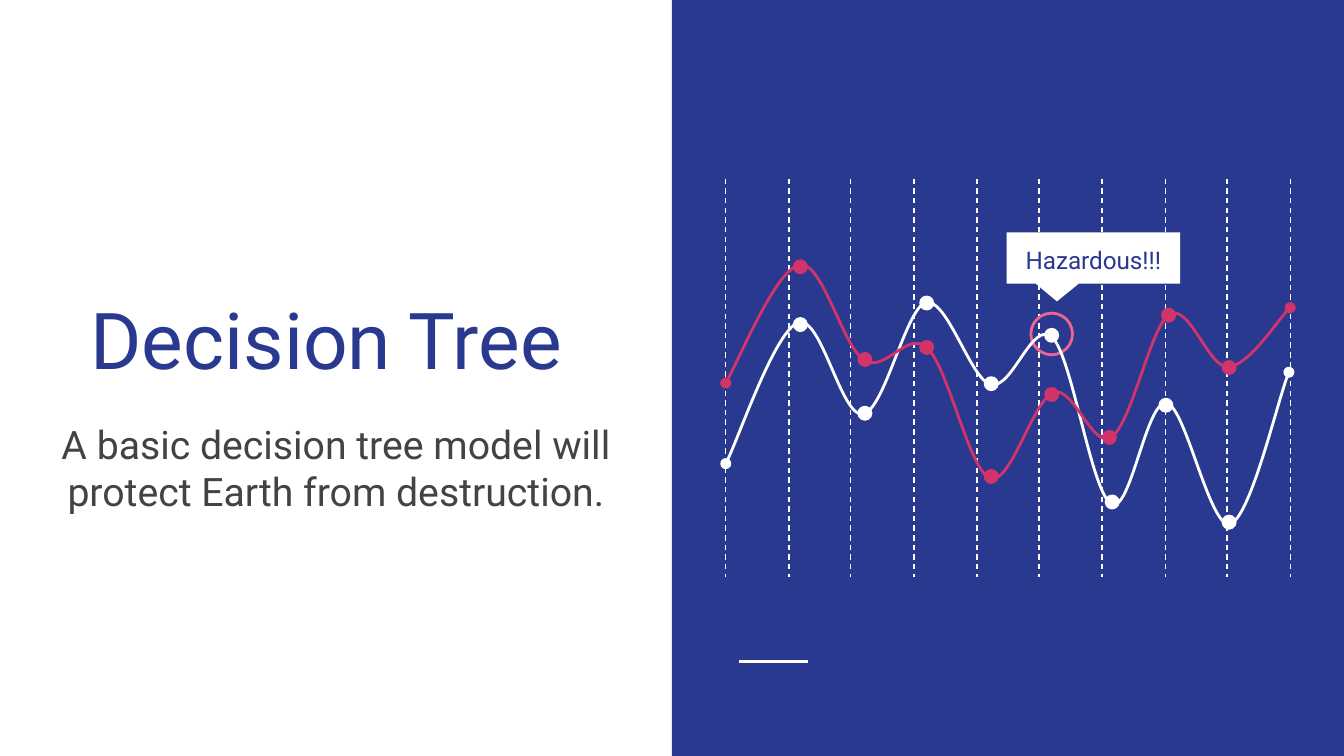
import lxml.etree
import pptx
import pptx.dml.color
import pptx.enum.dml
import pptx.enum.shapes
import pptx.enum.text
import pptx.oxml.ns
import pptx.util

PX = 9144
NAVY = pptx.dml.color.RGBColor(0x2A, 0x39, 0x90)
WHITE = pptx.dml.color.RGBColor(0xFF, 0xFF, 0xFF)
CRIMSON = pptx.dml.color.RGBColor(0xD2, 0x33, 0x69)
PINK = pptx.dml.color.RGBColor(0xF0, 0x62, 0x92)
GREY = pptx.dml.color.RGBColor(0x43, 0x43, 0x43)

SHAPE = pptx.enum.shapes.MSO_SHAPE
ANCHOR = pptx.enum.text.MSO_ANCHOR
qn = pptx.oxml.ns.qn

WHITE_CURVE = [
    (540, 345), (549, 328), (577, 246), (594, 240), (611, 234), (626, 311), (642, 308),
    (658, 306), (674, 229), (689, 225), (705, 222), (722, 282), (737, 286),
    (753, 291), (768, 237), (783, 251), (798, 266), (812, 367), (827, 375),
    (841, 383), (853, 297), (868, 300), (882, 302), (900, 393), (915, 390),
    (930, 386), (951, 296), (959, 277),
]
WHITE_DOTS = [(591, 237), (639, 303), (685, 221), (733, 281),
              (778, 245), (823, 369), (863, 297), (910, 384)]
CRIMSON_CURVE = [
    (540, 285), (549, 270), (578, 200), (595, 197), (612, 194), (627, 258), (643, 268),
    (659, 278), (675, 245), (690, 259), (706, 274), (721, 350), (737, 356),
    (752, 361), (769, 297), (784, 292), (799, 287), (813, 335), (827, 325),
    (842, 316), (856, 243), (870, 234), (885, 225), (899, 274), (914, 273),
    (929, 272), (952, 236), (960, 229),
]
CRIMSON_DOTS = [(591, 194), (639, 263), (685, 254), (733, 350),
                (778, 289), (821, 321), (865, 230), (910, 269)]


class SlideWriter:
    font_name = "Roboto"
    inset = 10
    stroke = 1.5
    dot_size = 9

    def __init__(self, page):
        self.page = page

    def outline(self, item, color, width):
        item.line.color.rgb = color
        item.line.width = pptx.util.Pt(width)

    def shape(self, kind, left, top, width, height, fill=None, line=None):
        item = self.page.shapes.add_shape(
            kind, left * PX, top * PX, width * PX, height * PX)
        item.shadow.inherit = False
        if fill is None:
            item.fill.background()
        else:
            item.fill.solid()
            item.fill.fore_color.rgb = fill
        if line is None:
            item.line.fill.background()
        else:
            self.outline(item, line, self.stroke)
        return item

    def line(self, x1, y1, x2, y2, width, dashed=False):
        item = self.page.shapes.add_connector(
            pptx.enum.shapes.MSO_CONNECTOR.STRAIGHT,
            x1 * PX, y1 * PX, x2 * PX, y2 * PX)
        self.outline(item, WHITE, width)
        if dashed:
            item.line.dash_style = pptx.enum.dml.MSO_LINE.DASH
        lxml.etree.SubElement(item.element.spPr, qn("a:effectLst"))

    def curve(self, points, color):
        builder = self.page.shapes.build_freeform(*points[0], scale=PX)
        builder.add_line_segments(points[1:], close=False)
        item = builder.convert_to_shape()
        item.shadow.inherit = False
        item.fill.background()
        self.outline(item, color, self.stroke)
        route = next(item.element.iter(qn("a:path")))
        segments = route.findall(qn("a:lnTo"))
        for start in range(0, len(segments), 3):
            bend = lxml.etree.SubElement(route, qn("a:cubicBezTo"))
            for segment in segments[start:start + 3]:
                bend.append(segment[0])
                route.remove(segment)
        stroke = item.element.spPr.find(qn("a:ln"))
        for end in ("a:headEnd", "a:tailEnd"):
            lxml.etree.SubElement(stroke, qn(end), type="oval")

    def series(self, points, dots, color):
        self.curve(points, color)
        for left, top in dots:
            self.shape(SHAPE.OVAL, left, top, self.dot_size, self.dot_size, color, color)

    def text(self, box, words, left, top, width, height, size, color, anchor, spacing=1.0):
        box.left, box.top = left * PX, top * PX
        box.width, box.height = width * PX, height * PX
        frame = box.text_frame
        frame.text = words
        frame.word_wrap = True
        frame.auto_size = pptx.enum.text.MSO_AUTO_SIZE.NONE
        frame.vertical_anchor = anchor
        frame.margin_left = frame.margin_right = self.inset * PX
        frame.margin_top = frame.margin_bottom = self.inset * PX
        para = frame.paragraphs[0]
        para.alignment = pptx.enum.text.PP_ALIGN.CENTER
        para.line_spacing = spacing
        para.space_before = pptx.util.Pt(0)
        para.font.name = self.font_name
        para.font.size = pptx.util.Pt(size)
        para.font.bold = False
        para.font.color.rgb = color
        box.element.getparent().append(box.element)


def main():
    deck = pptx.Presentation()
    deck.slide_width = 1000 * PX
    deck.slide_height = deck.slide_width * 9 // 16
    page = deck.slides.add_slide(deck.slide_layouts.get_by_name("Comparison"))
    title, subtitle, spare_left, label, spare_right = page.placeholders
    for spare in (spare_left, spare_right):
        spare.element.getparent().remove(spare.element)

    writer = SlideWriter(page)
    panel = writer.shape(SHAPE.RECTANGLE, 500, 0, 500, 562, NAVY)
    panel.height = deck.slide_height
    writer.line(550, 492, 601, 492, 1.5)
    for index in range(10):
        x = round(540 + index * 420 / 9)
        writer.line(x, 133, x, 429, 0.75, dashed=True)
    writer.shape(SHAPE.OVAL, 767, 233, 31, 31, line=PINK)

    writer.text(title, "Decision Tree ", 29, 126, 442, 171, 42, NAVY, ANCHOR.BOTTOM)
    writer.text(subtitle, "A basic decision tree model will protect Earth from destruction.",
                29, 303, 442, 139, 21, GREY, ANCHOR.TOP)

    writer.series(WHITE_CURVE, WHITE_DOTS, WHITE)
    callout = writer.shape(SHAPE.ROUNDED_RECTANGULAR_CALLOUT, 749, 173, 129, 38, WHITE)
    for index, value in enumerate((-0.21, 0.85, 0)):
        callout.adjustments[index] = value
    writer.series(CRIMSON_CURVE, CRIMSON_DOTS, CRIMSON)
    writer.text(label, "Hazardous!!!", 749, 176, 129, 31, 13, NAVY, ANCHOR.MIDDLE, 1.15)

    deck.save("out.pptx")


if __name__ == "__main__":
    main()
